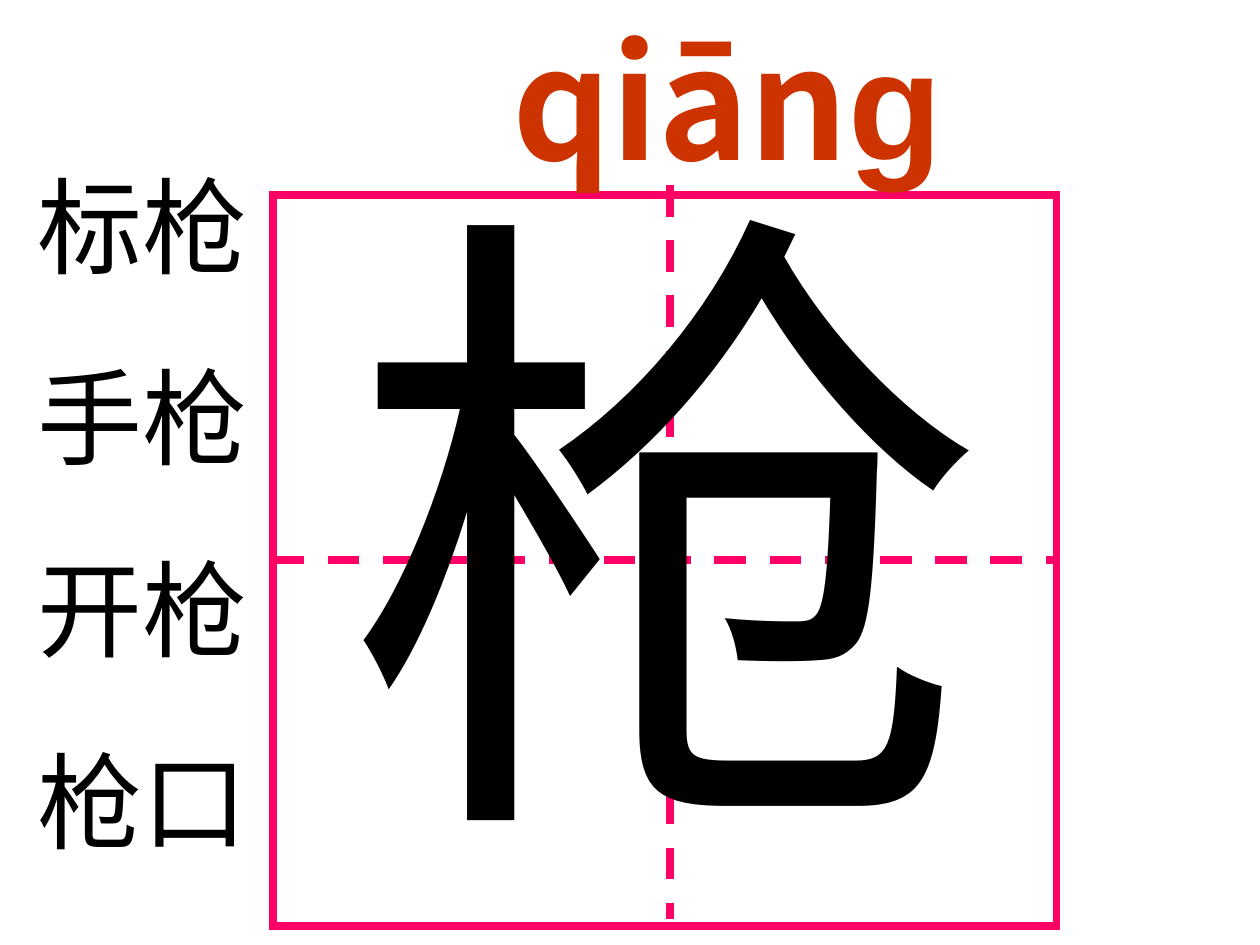
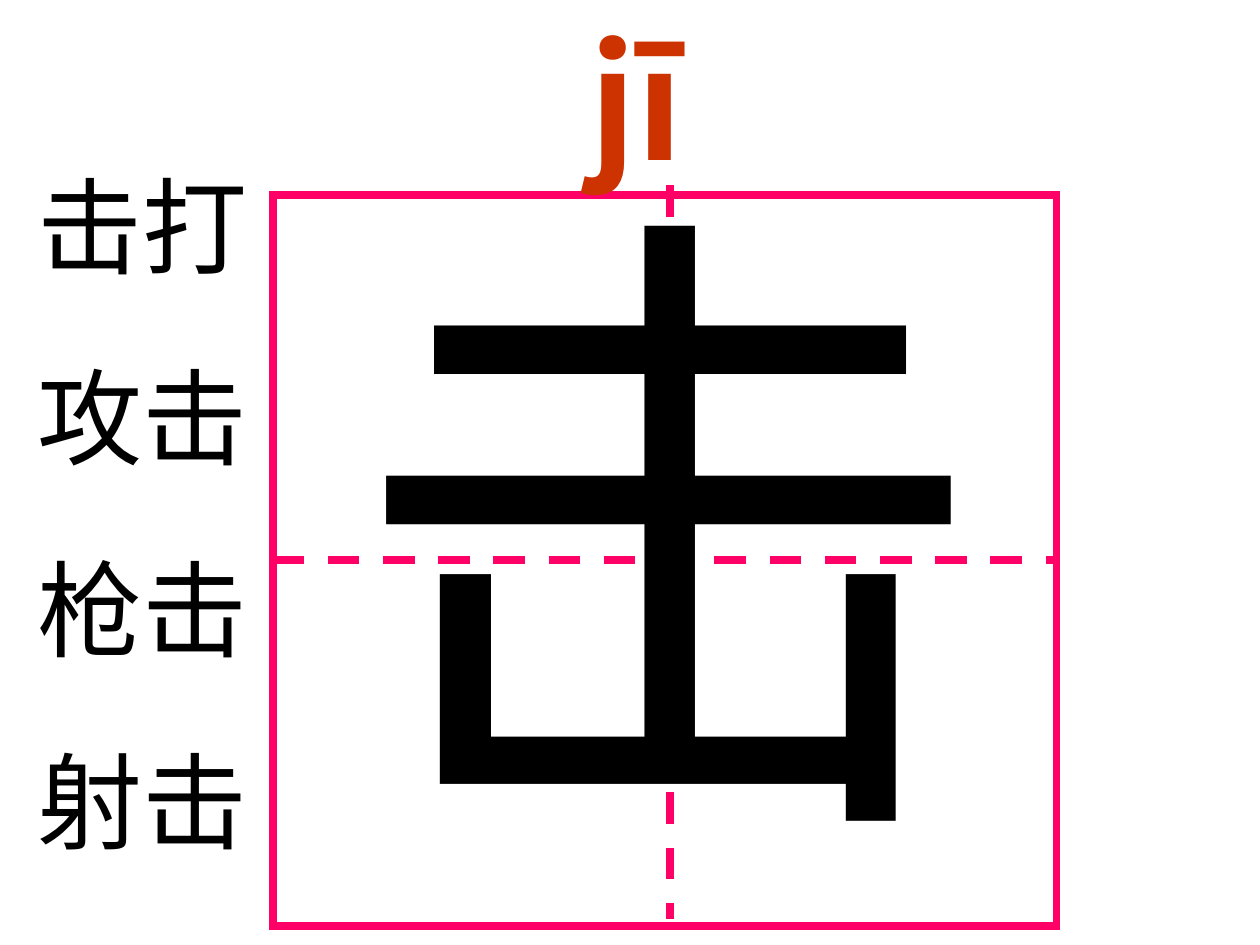
from dataclasses import dataclass

import pptx
import pptx.util
import pptx.dml.color
import pptx.enum.dml
import pptx.enum.shapes
import pptx.enum.text
import pptx.oxml.ns
from lxml import etree

Pt = pptx.util.Pt


@dataclass(frozen=True)
class Theme:
    grid: str = "FF0066"
    sound: str = "CC3300"
    ink: str = "000000"
    huge: float = 370
    large: float = 88
    body: float = 60
    gap: float = 37.5
    rule: float = 4.5
    sans: str = "Arial"
    serif: str = "Times New Roman"
    asian: str = "Noto Sans CJK SC"


@dataclass(frozen=True)
class Box:
    left: float
    top: float
    width: float
    height: float

    def lengths(self) -> list:
        return [Pt(v) for v in (self.left, self.top, self.width, self.height)]


@dataclass(frozen=True)
class Card:
    glyph: str
    sound: tuple[str, ...]  # a second part is set in the sans font
    place: Box
    words: tuple[str, ...]


THEME = Theme()
GRID = Box(155.8, 111.5, 448, 417.5)
GLYPH = Box(189.8, 66.2, 384.5, 451.5)
WORDS = Box(14.4, 88.6, 153.4, 408.2)
AXIS_X, AXIS_TOP, AXIS_END = 382.7, 105.75, 525

CARDS = [
    Card("枪", ("qiān", "ɡ"), Box(286, 0, 260, 113),
         ("标枪", "手枪", "开枪", "枪口")),
    Card("击", ("jī",), Box(329.5, 0, 70, 113),
         ("击打", "攻击", "枪击", "射击")),
]


def color(code: str):
    return pptx.dml.color.RGBColor.from_string(code)


def style(run, font: str, size: float, code: str, bold: bool = False) -> None:
    run.font.name = font
    run.font.size = Pt(size)
    run.font.bold = bold
    run.font.color.rgb = color(code)
    latin = run.font._element.find(pptx.oxml.ns.qn("a:latin"))
    east = etree.Element(pptx.oxml.ns.qn("a:ea"))
    east.set("typeface", THEME.asian)
    latin.addnext(east)


def add_text(shapes, box: Box, text: str, wrap: bool = False):
    frame = shapes.add_textbox(*box.lengths()).text_frame
    frame.text = text
    frame.word_wrap = wrap
    frame.auto_size = pptx.enum.text.MSO_AUTO_SIZE.SHAPE_TO_FIT_TEXT
    return frame


def add_axis(shapes, x1: float, y1: float, x2: float, y2: float):
    axis = shapes.add_connector(pptx.enum.shapes.MSO_CONNECTOR.STRAIGHT,
                                Pt(x1), Pt(y1), Pt(x2), Pt(y2))
    axis.line.color.rgb = color(THEME.grid)
    axis.line.width = Pt(THEME.rule)
    axis.line.dash_style = pptx.enum.dml.MSO_LINE.DASH
    etree.SubElement(axis._element.spPr, pptx.oxml.ns.qn("a:effectLst"))
    return axis


def draw_grid(slide) -> None:
    """Draw the square with its two dashed axes."""
    group = slide.shapes.add_group_shape().shapes
    frame = group.add_shape(pptx.enum.shapes.MSO_SHAPE.RECTANGLE,
                            *GRID.lengths())
    frame.shadow.inherit = False
    frame.fill.background()
    frame.line.color.rgb = color(THEME.grid)
    frame.line.width = Pt(THEME.rule)
    outline = frame._element.spPr.find(pptx.oxml.ns.qn("a:ln"))
    corner = etree.SubElement(outline, pptx.oxml.ns.qn("a:miter"))
    corner.set("lim", "800000")
    mid = GRID.top + GRID.height / 2
    axis = add_axis(group, GRID.left, mid, GRID.left + GRID.width, mid)
    axis.begin_connect(frame, 1)
    axis.end_connect(frame, 3)
    add_axis(slide.shapes, AXIS_X, AXIS_TOP, AXIS_X, AXIS_END)


def draw_sound(slide, card: Card) -> None:
    line = add_text(slide.shapes, card.place, card.sound[0]).paragraphs[0]
    for part in card.sound[1:]:
        line.add_run().text = part
    for run, font in zip(line.runs, (THEME.asian, THEME.sans)):
        style(run, font, THEME.large, THEME.sound, bold=True)


def draw_words(slide, words: tuple[str, ...]) -> None:
    frame = add_text(slide.shapes, WORDS, "\n".join(words), wrap=True)
    for i, line in enumerate(frame.paragraphs):
        if i:
            line.space_before = Pt(THEME.gap)
        style(line.runs[0], THEME.sans, THEME.body, THEME.ink)


def draw_card(deck, card: Card) -> None:
    slide = deck.slides.add_slide(deck.slide_layouts[6])
    draw_grid(slide)
    glyph = add_text(slide.shapes, GLYPH, card.glyph)
    style(glyph.paragraphs[0].runs[0], THEME.serif, THEME.huge, THEME.ink)
    draw_sound(slide, card)
    draw_words(slide, card.words)


def main() -> None:
    deck = pptx.Presentation()
    deck.slide_width, deck.slide_height = Pt(720), Pt(540)
    for card in CARDS:
        draw_card(deck, card)
    deck.save("out.pptx")


if __name__ == "__main__":
    main()
